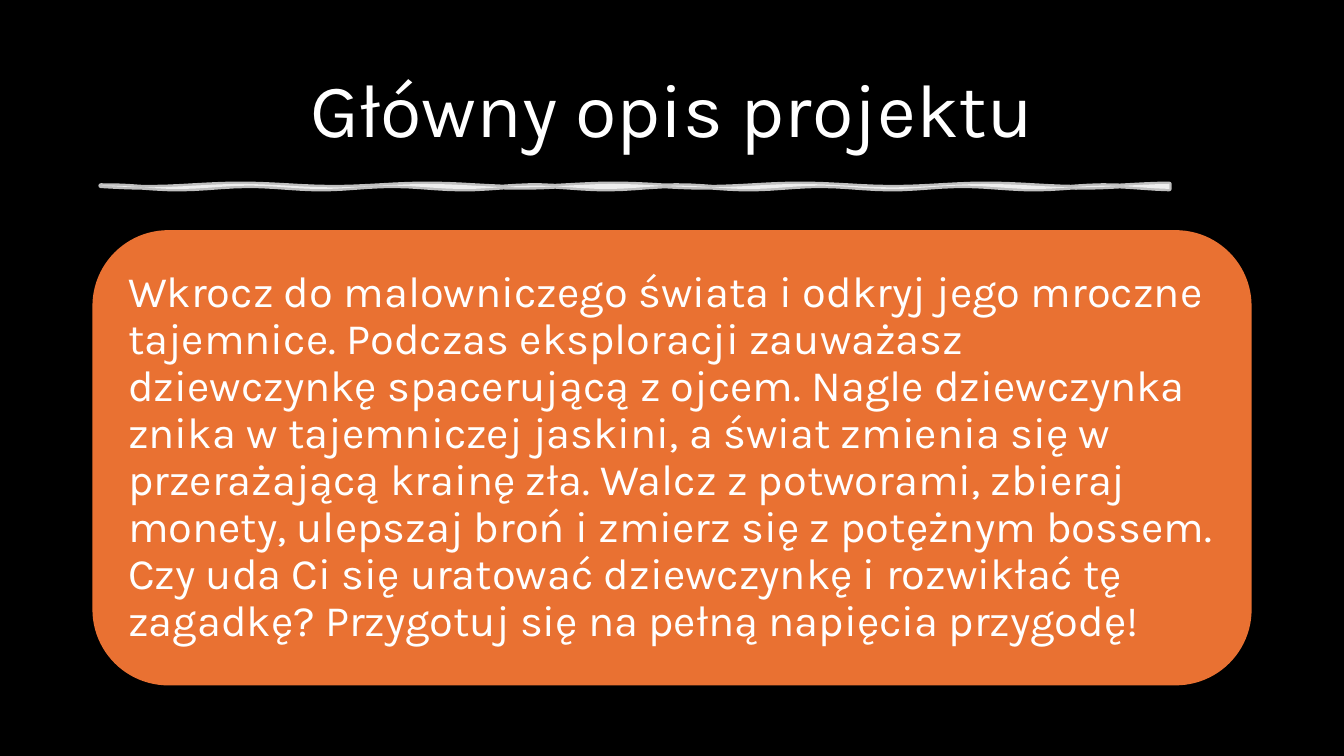
from math import sin

from lxml.etree import SubElement
from pptx import Presentation
from pptx.dml.color import RGBColor
from pptx.enum.shapes import MSO_SHAPE as Preset
from pptx.enum.text import MSO_ANCHOR as Anchor, MSO_AUTO_SIZE as AutoSize, PP_ALIGN as Align
from pptx.oxml.ns import qn
from pptx.util import Inches, Pt

COLOURS = {"night": "000000", "chalk": "FFFFFF", "ember": "E97132"}
COLUMNS, ROWS = 160, 90
TITLE = "Główny opis projektu"
STORY = (
    "Wkrocz do malowniczego świata i odkryj jego mroczne tajemnice. "
    "Podczas eksploracji zauważasz dziewczynkę spacerującą z ojcem. "
    "Nagle dziewczynka znika w tajemniczej jaskini, a świat zmienia się "
    "w przerażającą krainę zła. Walcz z potworami, zbieraj monety, "
    "ulepszaj broń i zmierz się z potężnym bossem. Czy uda Ci się "
    "uratować dziewczynkę i rozwikłać tę zagadkę? Przygotuj się na pełną "
    "napięcia przygodę!"
)


class SlideStyle:
    """Draws styled elements on one slide, measured in grid columns and rows."""

    def __init__(self, presentation, font):
        self.font = font
        self.column = presentation.slide_width / COLUMNS
        self.row = presentation.slide_height / ROWS
        self.slide = presentation.slides.add_slide(presentation.slide_layouts[1])

    def colour(self, name):
        return RGBColor.from_string(COLOURS[name])

    def box(self, left, top, width, height):
        return [round(size) for size in (left * self.column, top * self.row,
                                         width * self.column, height * self.row)]

    def apply(self, target, values):
        for name, value in values.items():
            setattr(target, name, value)

    def panel(self, preset, area, fill):
        shape = self.slide.shapes.add_shape(preset, *self.box(*area))
        shape.shadow.inherit = False
        shape.fill.solid()
        shape.fill.fore_color.rgb = self.colour(fill)
        shape.line.fill.background()

    def placeholder(self, index, text, area, size, align, inset):
        shape = self.slide.placeholders[index]
        self.slide.shapes._spTree.append(shape._element)
        self.apply(shape, dict(zip(("left", "top", "width", "height"), self.box(*area))))
        frame = shape.text_frame
        frame.text = text
        sides = ("left", "top", "right", "bottom")
        self.apply(frame, {f"margin_{side}": inset for side in sides})
        self.apply(frame, {"word_wrap": True, "auto_size": AutoSize.NONE,
                           "vertical_anchor": Anchor.MIDDLE})
        paragraph = frame.paragraphs[0]
        self.apply(paragraph, {"alignment": align, "line_spacing": 0.9,
                               "space_before": Pt(0)})
        properties = paragraph._p.get_or_add_pPr()
        self.apply(paragraph.runs[0].font, {"name": self.font, "size": Pt(size)})
        paragraph.runs[0].font.color.rgb = self.colour("chalk")
        properties.set("marL", "0")
        properties.set("indent", "0")
        SubElement(properties, qn("a:buNone"))

    def brush_stroke(self, left, top, width, thickness, colour, opacity, steps=80):
        upper = [(left + width * step / steps, top + 0.2 * sin(step * 0.45))
                 for step in range(steps + 1)]
        lower = [(x, top + thickness + 0.2 * sin(x * 0.37))
                 for x, _ in reversed(upper)]
        points = [(round(x * self.column), round(y * self.row)) for x, y in upper + lower]
        builder = self.slide.shapes.build_freeform(*points[0])
        builder.add_line_segments(points[1:], close=True)
        shape = builder.convert_to_shape()
        shape.shadow.inherit = False
        shape.line.width = Pt(3.5)
        for fill in (shape.fill, shape.line.fill):
            fill.solid()
            fill.fore_color.rgb = self.colour(colour)
        for tint in shape._element.spPr.iter(qn("a:srgbClr")):
            SubElement(tint, qn("a:alpha")).set("val", str(opacity * 1000))


def main():
    presentation = Presentation()
    presentation.slide_width, presentation.slide_height = Inches(13.33), Inches(7.5)
    style = SlideStyle(presentation, "Karla")
    style.panel(Preset.RECTANGLE, (0, 0, COLUMNS, ROWS), "night")
    style.placeholder(0, TITLE, (11, 4.8, 138, 17.4), 54, Align.CENTER, Inches(0.1))
    style.brush_stroke(12, 22.1, 127.2, 0.2, "chalk", 75)
    style.panel(Preset.ROUNDED_RECTANGLE, (11, 27.4, 138, 54.2), "ember")
    style.placeholder(1, STORY, (13.7, 30, 132.7, 49), 31, Align.LEFT, Inches(0.13))
    presentation.save("out.pptx")


if __name__ == "__main__":
    main()
